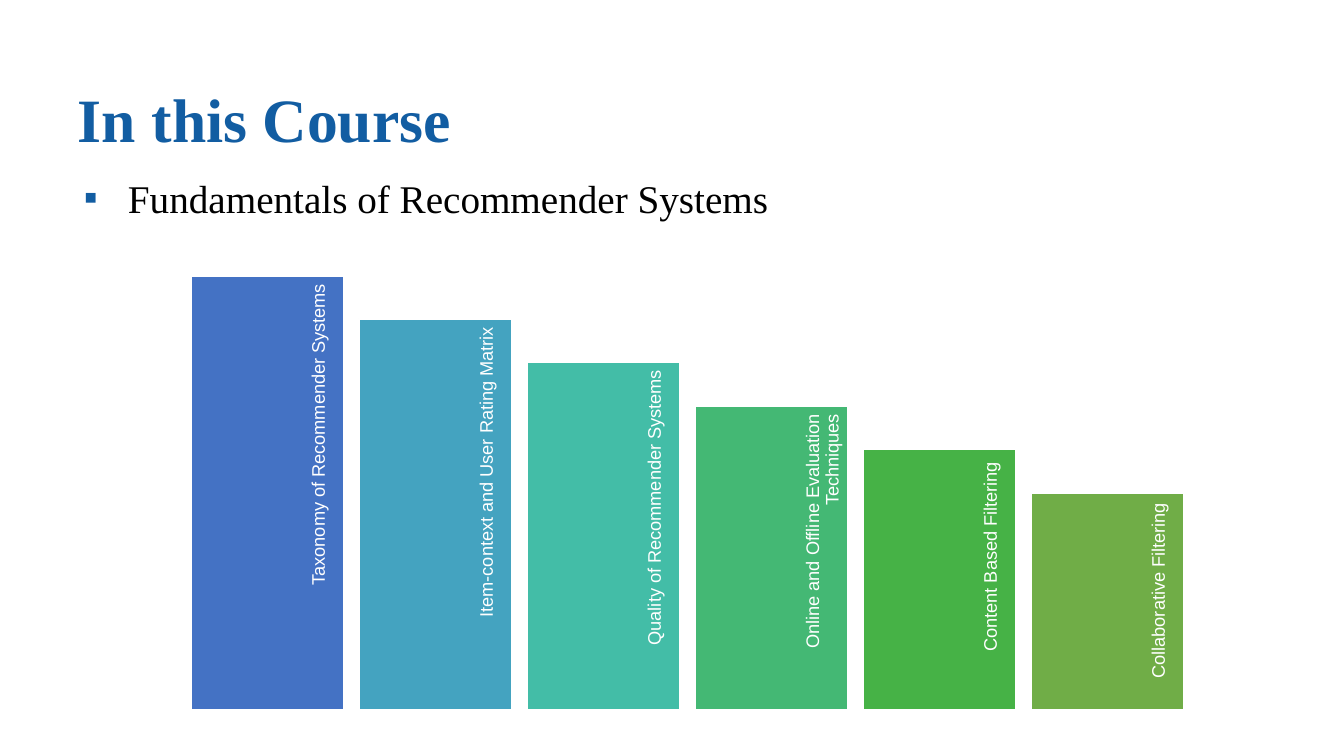
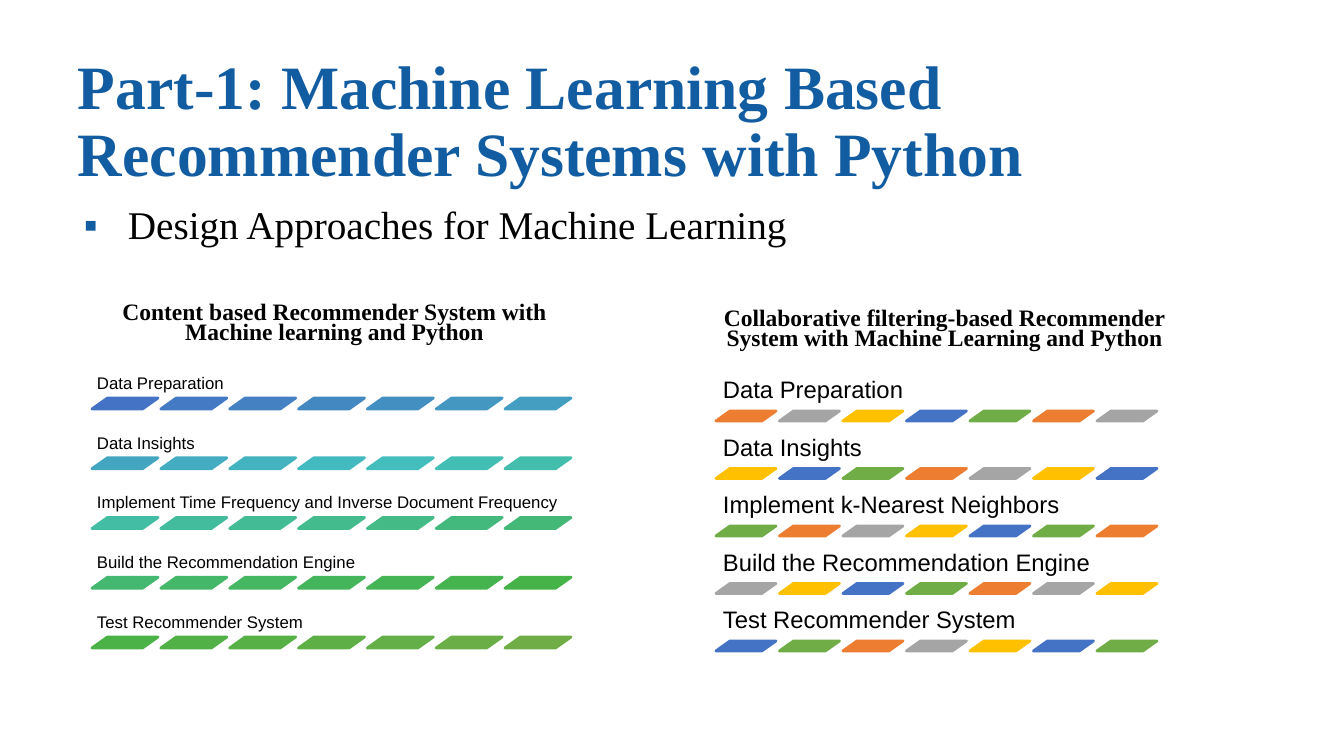
from colorsys import hls_to_rgb, rgb_to_hls
from dataclasses import dataclass

from lxml.etree import SubElement
from pptx import Presentation
from pptx.dml.color import RGBColor
from pptx.enum.shapes import MSO_SHAPE as Shape
from pptx.enum.text import MSO_ANCHOR as Anchor, PP_ALIGN as Align
from pptx.oxml.ns import qn
from pptx.util import Emu, Pt

# Shared look
COLORS = {
    "title": "125DA2", "text": "000000", "white": "FFFFFF",
    "blue": "4472C4", "green": "70AD47", "orange": "ED7D31",
    "gray": "A5A5A5", "gold": "FFC000",
}
SERIF, SANS = "Times New Roman", "Arial"
EMU_PER_PX = 914400 / 100.8


def px(n: float) -> Emu:
    return Emu(round(n * EMU_PER_PX))


@dataclass(frozen=True)
class Box:
    x: float
    y: float
    w: float
    h: float

    def emu(self) -> tuple[Emu, ...]:
        return px(self.x), px(self.y), px(self.w), px(self.h)


@dataclass(frozen=True)
class Style:
    size: float
    font: str = SERIF
    color: str = COLORS["text"]
    bold: bool = False
    align: Align = Align.LEFT
    anchor: Anchor = Anchor.TOP
    line: float = 0.9
    before: int = 0
    indent: int = 0
    insets: tuple[int, int, int, int] = (10, 5, 10, 5)


@dataclass(frozen=True)
class Step:
    text: str
    inset: int = 8


@dataclass(frozen=True)
class DashList:
    heading: str
    heading_box: Box
    labels: list[str]
    label: Box      # first label; the dashes start at its lower left corner
    dash_w: int
    dash_h: int
    span_x: int     # from the first dash to the last
    span_y: int     # from the first row to the last
    size: int
    inset: int
    colors: list[str]


TITLE = Style(44, color=COLORS["title"], bold=True, anchor=Anchor.MIDDLE)
HEADING = Style(16.8, bold=True, align=Align.CENTER, line=0.7, before=10, indent=6)


# Drawing helpers
def gradient(n: int) -> list[str]:
    """Blend blue into green through the hues between them."""
    def hls(name: str) -> tuple[float, ...]:
        return rgb_to_hls(*(c / 255 for c in RGBColor.from_string(COLORS[name])))

    start, end = hls("blue"), hls("green")
    blends = ([a + (b - a) * i / (n - 1) for a, b in zip(start, end)] for i in range(n))
    return ["".join(f"{round(c * 255):02X}" for c in hls_to_rgb(*b)) for b in blends]


def add_text(s, text: str, box: Box, style: Style, rotation: int = 0):
    tb = s.shapes.add_textbox(*box.emu())
    tb.rotation = rotation
    tf = tb.text_frame
    tf.word_wrap = True
    tf.vertical_anchor = style.anchor
    tf.margin_left, tf.margin_top, tf.margin_right, tf.margin_bottom = map(px, style.insets)
    p = tf.paragraphs[0]
    p.text = text
    p.alignment, p.line_spacing = style.align, style.line
    p.space_before = Pt(style.before)
    p._p.get_or_add_pPr().set("marL", str(px(style.indent)))
    f = p.runs[0].font
    f.name, f.size, f.bold = style.font, Pt(style.size), style.bold
    f.color.rgb = RGBColor.from_string(style.color)
    return p


def add_block(s, kind: Shape, box: Box, fill: str, line: str):
    sp = s.shapes.add_shape(kind, *box.emu())
    sp.shadow.inherit = False
    sp.fill.solid()
    sp.fill.fore_color.rgb = RGBColor.from_string(fill)
    sp.line.color.rgb = RGBColor.from_string(line)
    sp.line.width = Pt(2)
    return sp


def add_slide(prs, title: str, bullet: str, bullet_box: Box, line: float):
    s = prs.slides.add_slide(prs.slide_layouts[6])
    add_text(s, title, Box(68, 46, 1210, 154), TITLE)
    p = add_text(s, bullet, bullet_box, Style(28, line=line, before=10, indent=50))
    pPr = p._p.get_or_add_pPr()
    pPr.set("indent", str(px(-44)))
    SubElement(SubElement(pPr, qn("a:buClr")), qn("a:srgbClr"), val=COLORS["title"])
    SubElement(pPr, qn("a:buFont"), typeface=SANS)
    SubElement(pPr, qn("a:buChar"), char="▪")
    return s


def add_steps(s, steps: list[Step]) -> None:
    left, top, pitch, width, tallest, label_h = 191, 276, 168, 153, 434, 40
    for i, (step, color) in enumerate(zip(steps, gradient(len(steps)))):
        drop = tallest * i // 10
        bar = Box(left + pitch * i, top + drop, width, tallest - drop)
        add_block(s, Shape.RECTANGLE, bar, color, COLORS["white"])
        # The turned label runs along the upper nine tenths of the bar
        length = bar.h * 0.9
        center_x, center_y = bar.x + 129, bar.y + length / 2
        label = Box(center_x - length / 2, center_y - label_h / 2, length, label_h)
        style = Style(13, SANS, COLORS["white"], align=Align.RIGHT,
                      anchor=Anchor.MIDDLE, insets=(5, 0, step.inset, 2))
        add_text(s, step.text, label, style, rotation=270)


def add_dash_list(s, d: DashList) -> None:
    style = Style(d.size, SANS, anchor=Anchor.BOTTOM, insets=(d.inset,) * 4)
    for row, text in enumerate(d.labels):
        y = d.label.y + d.span_y * row / (len(d.labels) - 1)
        add_text(s, text, Box(d.label.x, y, d.label.w, d.label.h), style)
        for col in range(DASHES):
            color = d.colors[(row * DASHES + col) % len(d.colors)]
            x = d.label.x + d.span_x * col / (DASHES - 1)
            dash = Box(x, y + d.label.h, d.dash_w, d.dash_h)
            sp = add_block(s, Shape.PARALLELOGRAM, dash, color, color)
            sp.adjustments[0] = 1.41
    add_text(s, d.heading, d.heading_box, HEADING)


# Content
STEPS = [
    Step("Taxonomy of Recommender Systems"),
    Step("Item-context and User Rating Matrix"),
    Step("Quality of Recommender Systems"),
    Step("Online and Offline Evaluation Techniques"),
    Step("Content Based Filtering "),
    Step("Collaborative Filtering ", inset=5),
]
DASHES = 7


def phases(method: str) -> list[str]:
    return ["Data Preparation", "Data Insights", method,
            "Build the Recommendation Engine", "Test Recommender System"]


DASH_LISTS = [
    DashList("Content based Recommender System with Machine learning and Python",
             Box(88, 300, 487, 67),
             phases("Implement Time Frequency and Inverse Document Frequency"),
             Box(92, 354, 489, 44), dash_w=66, dash_h=11, span_x=413, span_y=239,
             size=12, inset=5, colors=gradient(5 * DASHES)),
    DashList("Collaborative filtering-based Recommender System with Machine Learning and Python",
             Box(698, 306, 487, 67),
             phases("Implement k-Nearest Neighbors"),
             Box(716, 370, 451, 41), dash_w=60, dash_h=10, span_x=381, span_y=230,
             size=17, inset=7,
             colors=[COLORS[c] for c in ("orange", "gray", "gold", "blue", "green")]),
]

prs = Presentation()
prs.slide_width, prs.slide_height = px(1344), px(756)

# Slide 1: course outline
s = add_slide(prs, "In this Course", "Fundamentals of Recommender Systems",
              Box(68, 178, 800, 64), line=0.8)
add_steps(s, STEPS)

# Slide 2: two design approaches
s = add_slide(prs, "Part-1: Machine Learning Based Recommender Systems with Python",
              "Design Approaches for Machine Learning", Box(68, 201, 1210, 67), line=0.9)
for dash_list in DASH_LISTS:
    add_dash_list(s, dash_list)

prs.save("out.pptx")
